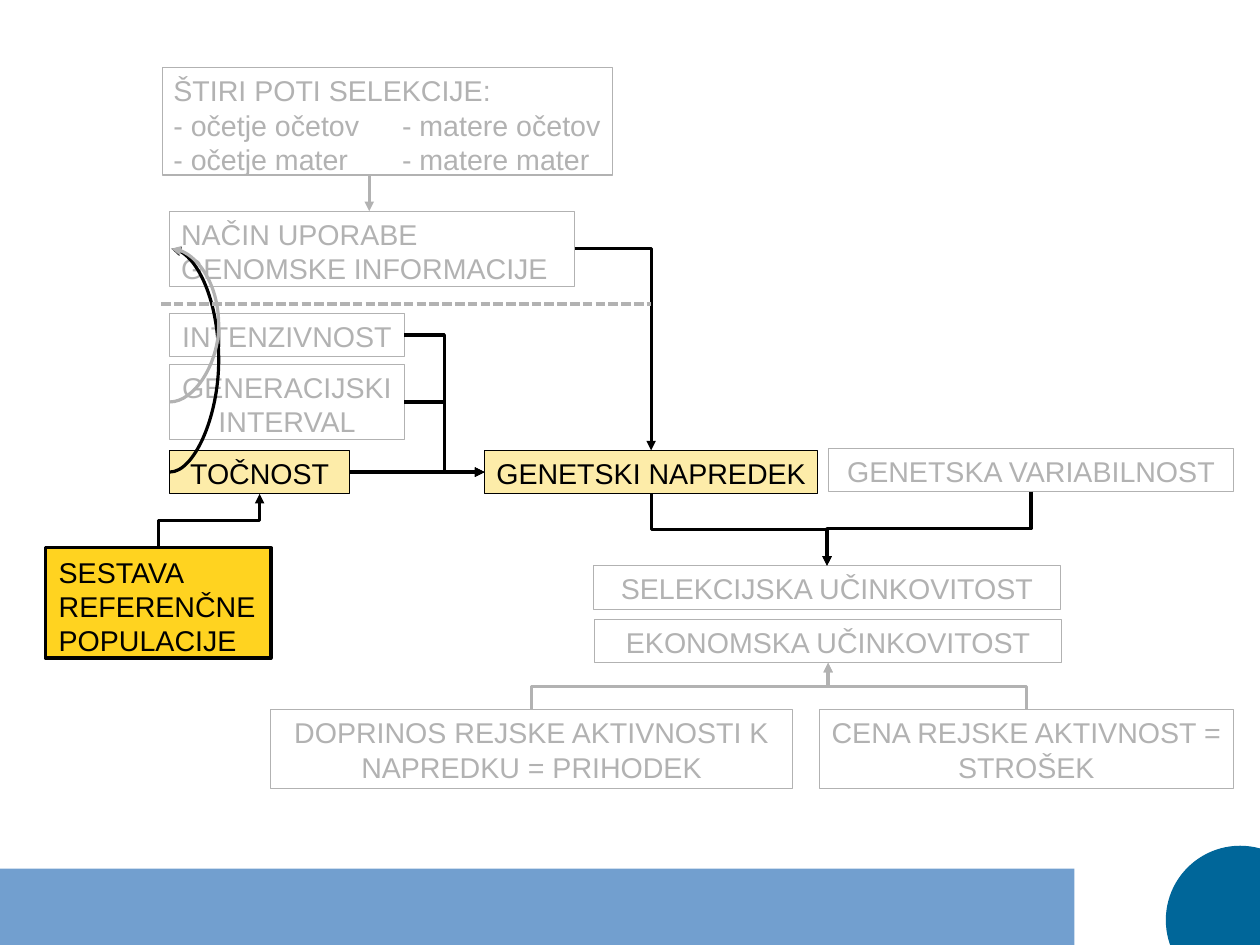
from dataclasses import dataclass

from lxml import etree
from pptx import Presentation
from pptx.dml.color import RGBColor
from pptx.enum import dml, shapes, text
from pptx.oxml.ns import qn
from pptx.util import Pt

GREY = RGBColor(0xB2, 0xB2, 0xB2)
BLACK = RGBColor(0, 0, 0)
WHITE = RGBColor(0xFF, 0xFF, 0xFF)
CREAM = RGBColor(0xFD, 0xEC, 0xA9)
GOLD = RGBColor(0xFF, 0xD3, 0x20)
BAND_BLUE = RGBColor(0x72, 0x9F, 0xCF)
DISC_BLUE = RGBColor(0x00, 0x66, 0x99)

TOP, LEFT, BOTTOM, RIGHT = range(4)
ROW = 27.4
TWO_ROWS = 47.5
ELBOW = shapes.MSO_CONNECTOR.ELBOW
STRAIGHT = shapes.MSO_CONNECTOR.STRAIGHT


@dataclass
class Box:
    name: str
    left: float
    top: float
    width: float
    height: float
    lines: tuple
    fill: RGBColor | None = None
    color: RGBColor = GREY
    centred: bool = True
    border: float = 0
    inset: tuple = (7.2, 3.6)

    def side(self, side: int) -> tuple[float, float]:
        """Middle point of one side."""
        fx, fy = ((0.5, 0), (0, 0.5), (0.5, 1), (1, 0.5))[side]
        return self.left + fx * self.width, self.top + fy * self.height


@dataclass
class Link:
    start: str
    start_side: int
    end: str
    end_side: int
    color: RGBColor = BLACK
    preset: str = "bentConnector3"


BOXES = [
    Box("selection", 373.7, 356.4, 294.5, ROW, ("SELEKCIJSKA UČINKOVITOST",), WHITE),
    Box("economy", 374.4, 390.2, 294.5, ROW, ("EKONOMSKA UČINKOVITOST",), WHITE),
    Box("progress", 305.2, 283.7, 210, ROW, ("GENETSKI NAPREDEK",), CREAM, BLACK),
    Box("variability", 522, 282.3, 255, ROW, ("GENETSKA VARIABILNOST",), WHITE),
    Box("accuracy", 107, 283.7, 113.2, ROW, ("TOČNOST",), CREAM, BLACK),
    Box("intensity", 107, 197.3, 147.6, ROW, ("INTENZIVNOST",)),
    Box("interval", 107, 229.5, 147.6, TWO_ROWS, ("GENERACIJSKI INTERVAL",)),
    Box("income", 170.4, 447, 329, 49.7,
        ("DOPRINOS REJSKE AKTIVNOSTI K NAPREDKU = PRIHODEK",), WHITE),
    Box("cost", 516, 447, 261, 49.7, ("CENA REJSKE AKTIVNOST = STROŠEK",), WHITE),
    Box("genomics", 107, 133, 255, TWO_ROWS,
        ("NAČIN UPORABE GENOMSKE INFORMACIJE",), centred=False),
    Box("paths", 102.2, 42.6, 283.7, 67.7,
        ("ŠTIRI POTI SELEKCIJE:", "- očetje očetov\t- matere očetov",
         "- očetje mater\t- matere mater"), centred=False),
    Box("reference", 28.8, 345, 141.8, 69.7, ("SESTAVA REFERENČNE POPULACIJE",),
        GOLD, BLACK, False, 2.3, (8.2, 4.3)),
]

LINKS = [
    Link("progress", BOTTOM, "selection", TOP),
    Link("variability", BOTTOM, "selection", TOP),
    Link("intensity", RIGHT, "progress", LEFT),
    Link("interval", RIGHT, "progress", LEFT),
    Link("genomics", RIGHT, "progress", TOP, preset="bentConnector2"),
    Link("accuracy", LEFT, "genomics", LEFT, preset="curvedConnector3"),
    Link("interval", LEFT, "genomics", LEFT, GREY, "curvedConnector3"),
    Link("income", TOP, "economy", BOTTOM, GREY),
    Link("cost", TOP, "economy", BOTTOM, GREY),
    Link("reference", TOP, "accuracy", BOTTOM),
]
CURVE_BULGE = 31


def add_plain(slide, kind, left, top, width, height, fill: RGBColor | None):
    """Add a preset shape without shadow or outline."""
    sp = slide.shapes.add_shape(kind, Pt(left), Pt(top), Pt(width), Pt(height))
    sp.shadow.inherit = False
    sp.line.fill.background()
    if fill is None:
        sp.fill.background()
    else:
        sp.fill.solid()
        sp.fill.fore_color.rgb = fill
    return sp


def add_box(slide, box: Box):
    sp = add_plain(slide, shapes.MSO_SHAPE.RECTANGLE, box.left, box.top,
                   box.width, box.height, box.fill)
    sp.line.color.rgb = box.color
    sp.line.width = Pt(box.border)
    tf = sp.text_frame
    tf.word_wrap = True
    tf.vertical_anchor = text.MSO_ANCHOR.TOP
    tf.margin_left = tf.margin_right = Pt(box.inset[0])
    tf.margin_top = tf.margin_bottom = Pt(box.inset[1])
    for i, line in enumerate(box.lines):
        p = tf.paragraphs[0] if i == 0 else tf.add_paragraph()
        p.text = line
        p.alignment = text.PP_ALIGN.CENTER if box.centred else text.PP_ALIGN.LEFT
        p.font.name = "Arial"
        p.font.size = Pt(18)
        p.font.color.rgb = box.color
    return sp


def add_line(slide, kind, start, end, color: RGBColor, arrow: bool = True):
    c = slide.shapes.add_connector(kind, *(Pt(v) for v in (*start, *end)))
    c.line.color.rgb = color
    c.line.width = Pt(0)
    if arrow:
        etree.SubElement(c.line._get_or_add_ln(), qn("a:tailEnd"), type="triangle")
    etree.SubElement(c.element.spPr, qn("a:effectLst"))
    return c


def add_link(slide, link: Link, boxes: dict[str, Box]) -> None:
    """Join two box sides; a link leaving a top or bottom is a turned elbow."""
    x1, y1 = boxes[link.start].side(link.start_side)
    x2, y2 = boxes[link.end].side(link.end_side)
    turned = link.start_side in (TOP, BOTTOM)
    down = y2 > y1
    if turned:
        cx, cy = (x1 + x2) / 2, (y1 + y2) / 2
        half_w = abs(y2 - y1) / 2
        half_h = (x1 - x2 if down else x2 - x1) / 2
        x1, y1, x2, y2 = cx - half_w, cy - half_h, cx + half_w, cy + half_h
    curved = link.preset == "curvedConnector3"
    if curved:
        x2 += 1
    c = add_line(slide, ELBOW, (x1, y1), (x2, y2), link.color)
    spPr = c.element.spPr
    if turned:
        spPr.find(qn("a:xfrm")).set("rot", str((90 if down else 270) * 60000))
    geom = spPr.find(qn("a:prstGeom"))
    geom.set("prst", link.preset)
    if curved:
        etree.SubElement(geom.find(qn("a:avLst")), qn("a:gd"), name="adj1",
                         fmla=f"val {CURVE_BULGE * 100000}")


def main() -> None:
    prs = Presentation()
    prs.slide_width, prs.slide_height = Pt(793.7), Pt(595.3)
    slide = prs.slides.add_slide(prs.slide_layouts[6])

    add_plain(slide, shapes.MSO_SHAPE.RECTANGLE, 0, 547.2, 676.8, 48.1, BAND_BLUE)
    add_plain(slide, shapes.MSO_SHAPE.OVAL, 734.4, 532.8, 93.6, 93.6, DISC_BLUE)

    drawn = {box.name: add_box(slide, box) for box in BOXES}
    boxes = {box.name: box for box in BOXES}
    for link in LINKS:
        add_link(slide, link, boxes)

    arrow = add_line(slide, STRAIGHT, boxes["accuracy"].side(RIGHT),
                     boxes["progress"].side(LEFT), BLACK)
    arrow.begin_connect(drawn["accuracy"], RIGHT)
    arrow.end_connect(drawn["progress"], LEFT)
    add_line(slide, STRAIGHT, (232.6, 110.3), (232.6, 133), GREY)
    divider = add_line(slide, STRAIGHT, (101.5, 191.5), (410.2, 191.5), GREY, False)
    divider.line.dash_style = dml.MSO_LINE.SQUARE_DOT

    prs.save("out.pptx")


if __name__ == "__main__":
    main()
